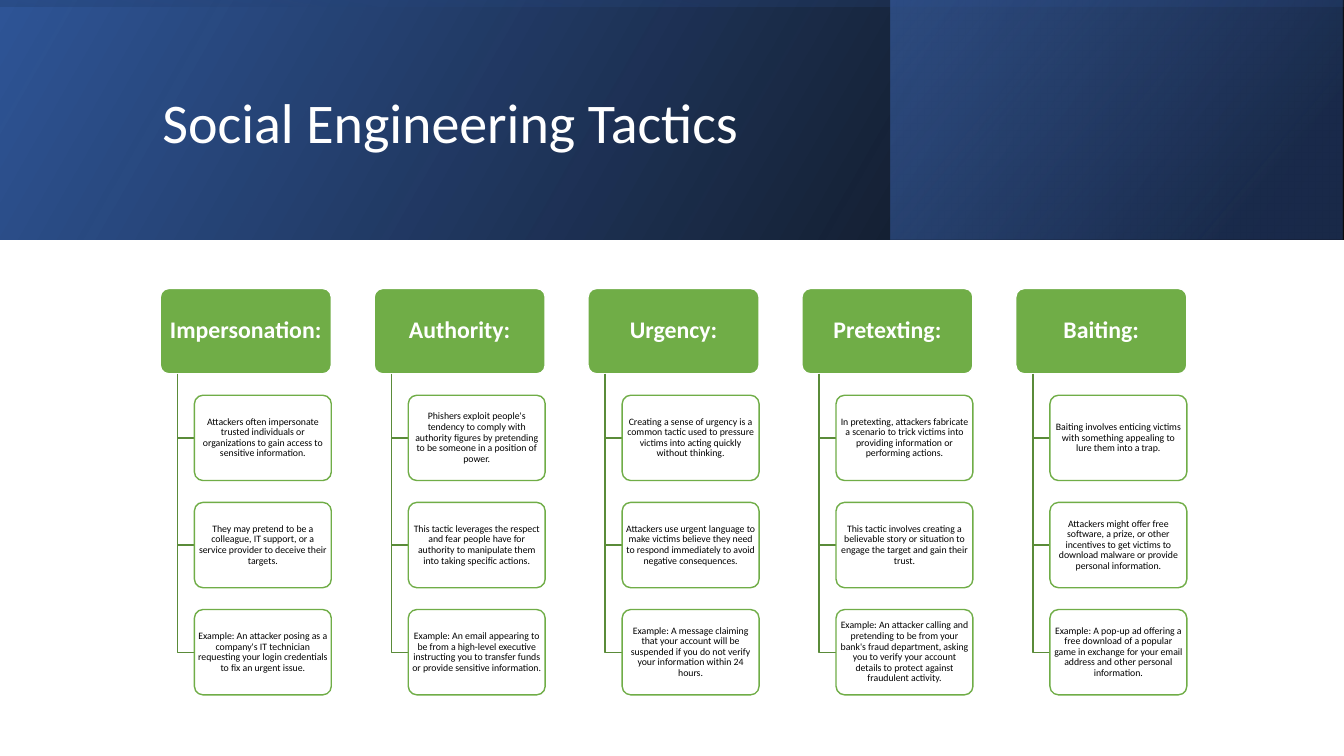
from dataclasses import dataclass

from lxml import etree
from pptx import Presentation
from pptx import util as u
from pptx.dml.color import RGBColor
from pptx.enum import shapes, text
from pptx.oxml import ns


@dataclass(frozen=True)
class Theme:
    font: str = "Calibri"
    white: str = "FFFFFF"
    black: str = "000000"
    green: str = "70AD47"
    moss: str = "5A8B39"
    navy: str = "203864"
    blue: str = "2F5597"
    sky: str = "4472C4"
    title: int = 40
    head: int = 17
    body: int = 7
    line: int = 1


@dataclass(frozen=True)
class Box:
    left: float
    top: float
    width: float
    height: float

    def sides(self) -> list[int]:
        return [u.Cm(v) for v in (self.left, self.top, self.width, self.height)]


@dataclass(frozen=True)
class Stop:
    place: float
    color: str
    alpha: int


@dataclass(frozen=True)
class Band:
    box: Box
    turn: int
    angle: int
    stops: tuple[Stop, Stop]


@dataclass(frozen=True)
class Style:
    fill: str
    line: str
    ink: str
    size: int
    bold: bool
    pad: float


@dataclass(frozen=True)
class Tactic:
    name: str
    notes: tuple[str, str, str]


T = Theme()
HEAD = Style(T.green, T.white, T.white, T.head, True, 0.09)
CARD = Style(T.white, T.green, T.black, T.body, False, 0.03)

# Slide and header sizes in centimetres
WIDE, HIGH, DEEP = 33.87, 19.05, 6.03

# Grid of tactics in centimetres
LEFT, TOP, STEP = 4.04, 7.27, 5.39
HEAD_W, BOX_H = 4.31, 2.15
CARD_W, CARD_TOP, ROW = 3.45, 9.96, 2.7
STEM, INDENT = 0.43, 0.86

BANDS = (
    Band(Box(0, 0, WIDE, DEEP), 0, 30,
         (Stop(0, T.black, 96), Stop(1, T.blue, 100))),
    Band(Box(22.45, 0, 11.39, DEEP), 0, 40,
         (Stop(0.19, T.navy, 68), Stop(1, T.sky, 48))),
    Band(Box((WIDE - DEEP) / 2, (DEEP - WIDE) / 2, DEEP, WIDE), 270, 10,
         (Stop(0.23, T.blue, 16), Stop(0.99, T.black, 45))),
)

TACTICS = (
    Tactic("Impersonation:", (
        "Attackers often impersonate trusted individuals or organizations to gain access to sensitive information.",
        "They may pretend to be a colleague, IT support, or a service provider to deceive their targets.",
        "Example: An attacker posing as a company's IT technician requesting your login credentials to fix an urgent issue.")),
    Tactic("Authority:", (
        "Phishers exploit people's tendency to comply with authority figures by pretending to be someone in a position of power.",
        "This tactic leverages the respect and fear people have for authority to manipulate them into taking specific actions.",
        "Example: An email appearing to be from a high-level executive instructing you to transfer funds or provide sensitive information.")),
    Tactic("Urgency:", (
        "Creating a sense of urgency is a common tactic used to pressure victims into acting quickly without thinking.",
        "Attackers use urgent language to make victims believe they need to respond immediately to avoid negative consequences.",
        "Example: A message claiming that your account will be suspended if you do not verify your information within 24 hours.")),
    Tactic("Pretexting:", (
        "In pretexting, attackers fabricate a scenario to trick victims into providing information or performing actions.",
        "This tactic involves creating a believable story or situation to engage the target and gain their trust.",
        "Example: An attacker calling and pretending to be from your bank's fraud department, asking you to verify your account details to protect against fraudulent activity.")),
    Tactic("Baiting:", (
        "Baiting involves enticing victims with something appealing to lure them into a trap.",
        "Attackers might offer free software, a prize, or other incentives to get victims to download malware or provide personal information.",
        "Example: A pop-up ad offering a free download of a popular game in exchange for your email address and other personal information.")),
)


def write(frame, words: str, size: int, ink: str, bold: bool, align) -> None:
    frame.word_wrap = True
    frame.vertical_anchor = text.MSO_ANCHOR.MIDDLE
    para = frame.paragraphs[0]
    para.alignment = align
    para.line_spacing = 0.9
    run = para.add_run()
    run.text = words
    run.font.name = T.font
    run.font.size = u.Pt(size)
    run.font.bold = bold
    run.font.color.rgb = RGBColor.from_string(ink)


def draw_band(slide, band: Band) -> None:
    shape = slide.shapes.add_shape(shapes.MSO_SHAPE.RECTANGLE, *band.box.sides())
    shape.shadow.inherit = False
    shape.rotation = band.turn
    shape.line.fill.background()
    shape.fill.gradient()
    shape.fill.gradient_angle = band.angle
    for mark, stop in zip(shape.fill.gradient_stops, band.stops):
        mark.position = stop.place
        mark.color.rgb = RGBColor.from_string(stop.color)
    # Mirror the band and make its colours translucent
    props = shape._element.spPr
    props.get_or_add_xfrm().set("flipH", "1")
    for color, stop in zip(props.iter(ns.qn("a:srgbClr")), band.stops):
        etree.SubElement(color, ns.qn("a:alpha")).set("val", str(stop.alpha * 1000))


def draw_title(slide, words: str) -> None:
    title = slide.shapes.title
    title.left, title.top, title.width, title.height = Box(3.84, 0.97, 27, 4.37).sides()
    write(title.text_frame, words, T.title, T.white, False, text.PP_ALIGN.LEFT)
    slide.shapes._spTree.append(title._element)


def draw_box(slide, box: Box, words: str, style: Style) -> None:
    shape = slide.shapes.add_shape(shapes.MSO_SHAPE.ROUNDED_RECTANGLE, *box.sides())
    shape.shadow.inherit = False
    shape.adjustments[0] = 0.1
    shape.fill.solid()
    shape.fill.fore_color.rgb = RGBColor.from_string(style.fill)
    shape.line.color.rgb = RGBColor.from_string(style.line)
    shape.line.width = u.Pt(T.line)
    frame = shape.text_frame
    frame.margin_left = frame.margin_right = u.Cm(style.pad)
    frame.margin_top = frame.margin_bottom = u.Cm(style.pad)
    write(frame, words, style.size, style.ink, style.bold, text.PP_ALIGN.CENTER)


def draw_elbow(slide, left: float, top: float, right: float, end: float) -> None:
    pen = slide.shapes.build_freeform(u.Cm(left), u.Cm(top))
    pen.add_line_segments([(u.Cm(left), u.Cm(end)), (u.Cm(right), u.Cm(end))], close=False)
    elbow = pen.convert_to_shape()
    elbow.shadow.inherit = False
    elbow.fill.background()
    elbow.line.color.rgb = RGBColor.from_string(T.moss)
    elbow.line.width = u.Pt(T.line)


def draw_tactic(slide, left: float, tactic: Tactic) -> None:
    draw_box(slide, Box(left, TOP, HEAD_W, BOX_H), tactic.name, HEAD)
    for row, note in enumerate(tactic.notes):
        top = CARD_TOP + row * ROW
        draw_elbow(slide, left + STEM, TOP + BOX_H, left + INDENT, top + BOX_H / 2)
        draw_box(slide, Box(left + INDENT, top, CARD_W, BOX_H), note, CARD)


def main() -> None:
    deck = Presentation()
    deck.slide_width, deck.slide_height = u.Cm(WIDE), u.Cm(HIGH)
    slide = deck.slides.add_slide(deck.slide_layouts.get_by_name("Title Only"))

    # Header
    for band in BANDS:
        draw_band(slide, band)
    draw_title(slide, "Social Engineering Tactics")

    # Columns of tactics
    for col, tactic in enumerate(TACTICS):
        draw_tactic(slide, LEFT + col * STEP, tactic)

    deck.save("out.pptx")


if __name__ == "__main__":
    main()
